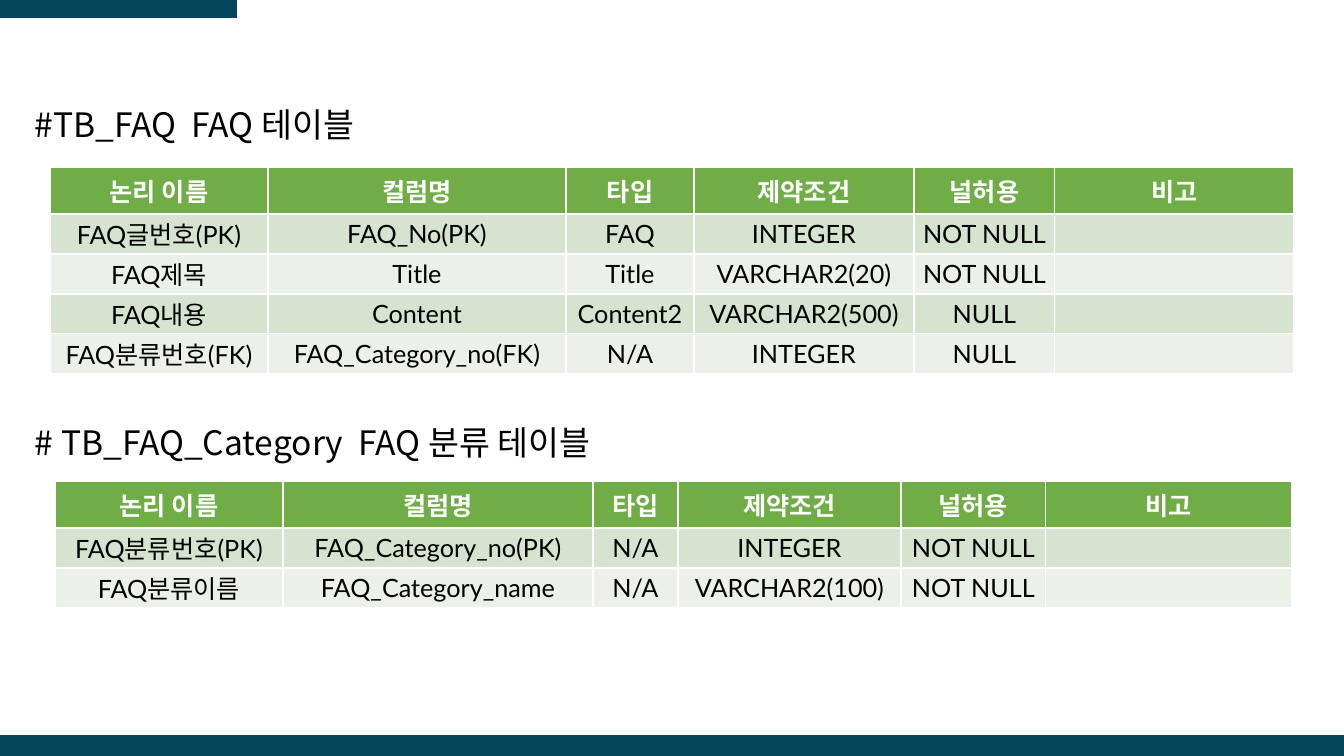
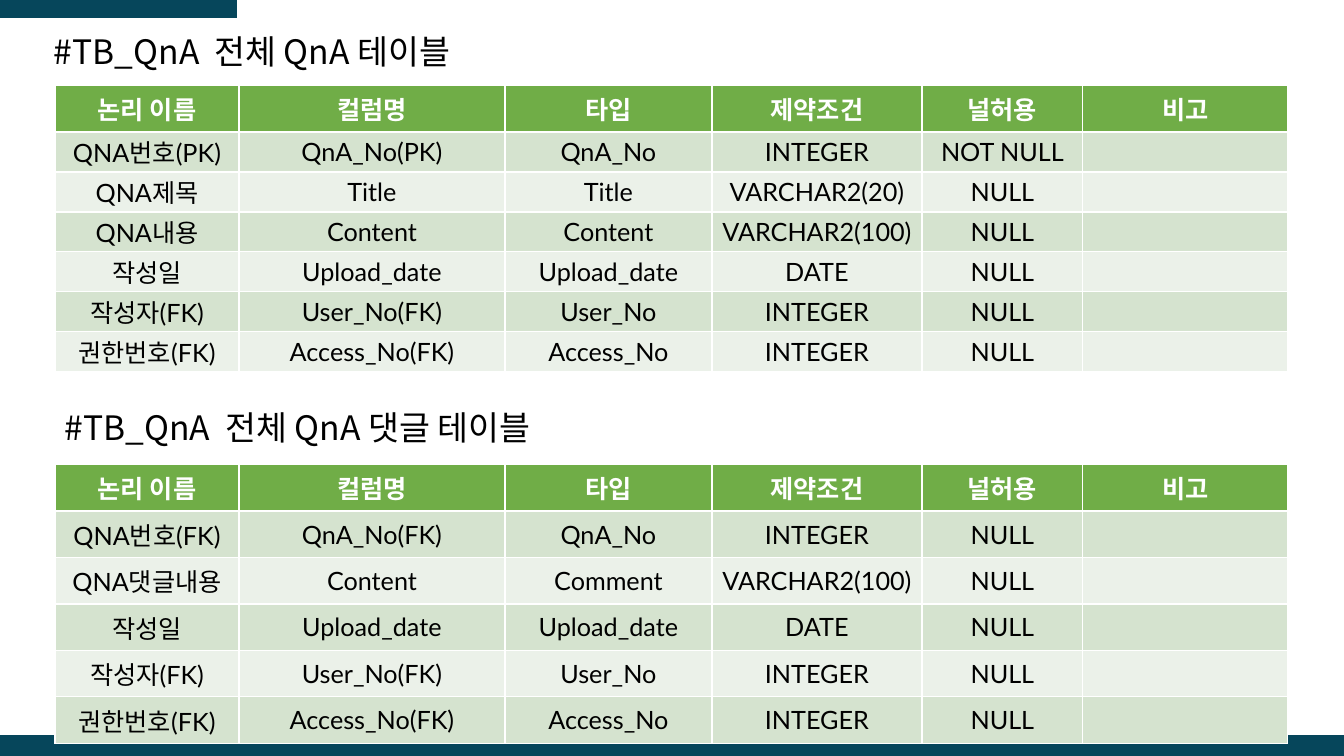
from pptx import Presentation
from pptx.dml.color import RGBColor
from pptx.enum.shapes import MSO_SHAPE
from pptx.enum.text import MSO_ANCHOR, PP_ALIGN
from pptx.util import Pt

# Content: each table holds title, title box, place, columns, row height, rows
HEAD = ("논리 이름", "컬럼명", "타입", "제약조건", "널허용", "비고")

FAQ = dict(
    title="#TB_FAQ  FAQ 테이블", box=(25, 105, 828, 43),
    left=50, top=167, cols=(218, 298, 128, 220, 141, 239), high=40,
    rows=[
        ("FAQ글번호(PK)", "FAQ_No(PK)", "FAQ", "INTEGER", "NOT NULL"),
        ("FAQ제목", "Title", "Title", "VARCHAR2(20)", "NOT NULL"),
        ("FAQ내용", "Content", "Content2", "VARCHAR2(500)", "NULL"),
        ("FAQ분류번호(FK)", "FAQ_Category_no(FK)", "N/A", "INTEGER", "NULL"),
    ])
GROUP = dict(
    title="# TB_FAQ_Category  FAQ 분류 테이블", box=(25, 423, 828, 43),
    left=55, top=481, cols=(228, 310, 85, 223, 145, 246), high=40,
    rows=[
        ("FAQ분류번호(PK)", "FAQ_Category_no(PK)", "N/A", "INTEGER", "NOT NULL"),
        ("FAQ분류이름", "FAQ_Category_name", "N/A", "VARCHAR2(100)", "NOT NULL"),
    ])

QNA_COLS = (184, 266, 207, 210, 161, 205)
QNA_END = [
    ("작성일", "Upload_date", "Upload_date", "DATE", "NULL"),
    ("작성자(FK)", "User_No(FK)", "User_No", "INTEGER", "NULL"),
    ("권한번호(FK)", "Access_No(FK)", "Access_No", "INTEGER", "NULL"),
]
QNA = dict(
    title="#TB_QnA  전체 QnA 테이블", box=(44, 32, 473, 43),
    left=55, top=85, cols=QNA_COLS, high=40,
    rows=[
        ("QNA번호(PK)", "QnA_No(PK)", "QnA_No", "INTEGER", "NOT NULL"),
        ("QNA제목", "Title", "Title", "VARCHAR2(20)", "NULL"),
        ("QNA내용", "Content", "Content", "VARCHAR2(100)", "NULL"),
    ] + QNA_END)
REPLY = dict(
    title="#TB_QnA  전체 QnA 댓글 테이블", box=(55, 408, 828, 43),
    left=55, top=464, cols=QNA_COLS, high=46.5,
    rows=[
        ("QNA번호(FK)", "QnA_No(FK)", "QnA_No", "INTEGER", "NULL"),
        ("QNA댓글내용", "Content", "Comment", "VARCHAR2(100)", "NULL"),
    ] + QNA_END)

SLIDES = [(FAQ, GROUP), (REPLY, QNA)]

# Shared look
WIDE, TALL = 1344, 756
HEAD_HIGH = 47
BANDS = [(0, 0, 237, 18), (0, 735, WIDE, 21)]
NAVY = RGBColor(0x06, 0x46, 0x5B)
GREEN = RGBColor(0x70, 0xAD, 0x47)
STRIPES = (RGBColor(0xD5, 0xE3, 0xCF), RGBColor(0xEB, 0xF1, 0xE9))
WHITE = RGBColor(0xFF, 0xFF, 0xFF)
BLACK = RGBColor(0, 0, 0)
TITLE_FONT, CELL_FONT = "Noto Sans CJK KR", "Lato"


def px(n):
    return round(n * 914400 / 100.8)


def style(para, name, size, color, bold=False):
    font = para.font
    font.name, font.size, font.bold = name, Pt(size), bold
    font.color.rgb = color


def add_bands(slide):
    for box in BANDS:
        band = slide.shapes.add_shape(MSO_SHAPE.RECTANGLE, *map(px, box))
        band.shadow.inherit = False
        band.fill.solid()
        band.fill.fore_color.rgb = NAVY
        band.line.fill.background()


def add_title(slide, text, box):
    frame = slide.shapes.add_textbox(*map(px, box)).text_frame
    frame.word_wrap = True
    frame.vertical_anchor = MSO_ANCHOR.MIDDLE
    para = frame.paragraphs[0]
    para.text = text
    para.line_spacing = 0.9
    style(para, TITLE_FONT, 24, BLACK)


def fill_cell(cell, text, row):
    head = row == 0
    cell.fill.solid()
    cell.fill.fore_color.rgb = GREEN if head else STRIPES[(row - 1) % 2]
    if not head:
        cell.vertical_anchor = MSO_ANCHOR.MIDDLE
        cell.margin_left = cell.margin_right = 0
        cell.margin_top = cell.margin_bottom = 0
    para = cell.text_frame.paragraphs[0]
    para.alignment = PP_ALIGN.CENTER
    style(para, CELL_FONT, 18, WHITE if head else BLACK, head)
    if text:
        para.text = text


def add_grid(slide, data):
    cols = data["cols"]
    rows = [HEAD] + [row + ("",) for row in data["rows"]]
    highs = [HEAD_HIGH] + [data["high"]] * len(data["rows"])
    box = data["left"], data["top"], sum(cols), sum(highs)
    grid = slide.shapes.add_table(len(rows), len(cols), *map(px, box)).table
    for col, width in zip(grid.columns, cols):
        col.width = px(width)
    for r, (row, high) in enumerate(zip(rows, highs)):
        grid.rows[r].height = px(high)
        for c, text in enumerate(row):
            fill_cell(grid.cell(r, c), text, r)


# Build the slides
deck = Presentation()
deck.slide_width, deck.slide_height = px(WIDE), px(TALL)
for tables in SLIDES:
    slide = deck.slides.add_slide(deck.slide_layouts[6])
    add_bands(slide)
    for data in tables:
        add_title(slide, data["title"], data["box"])
        add_grid(slide, data)
deck.save("out.pptx")
